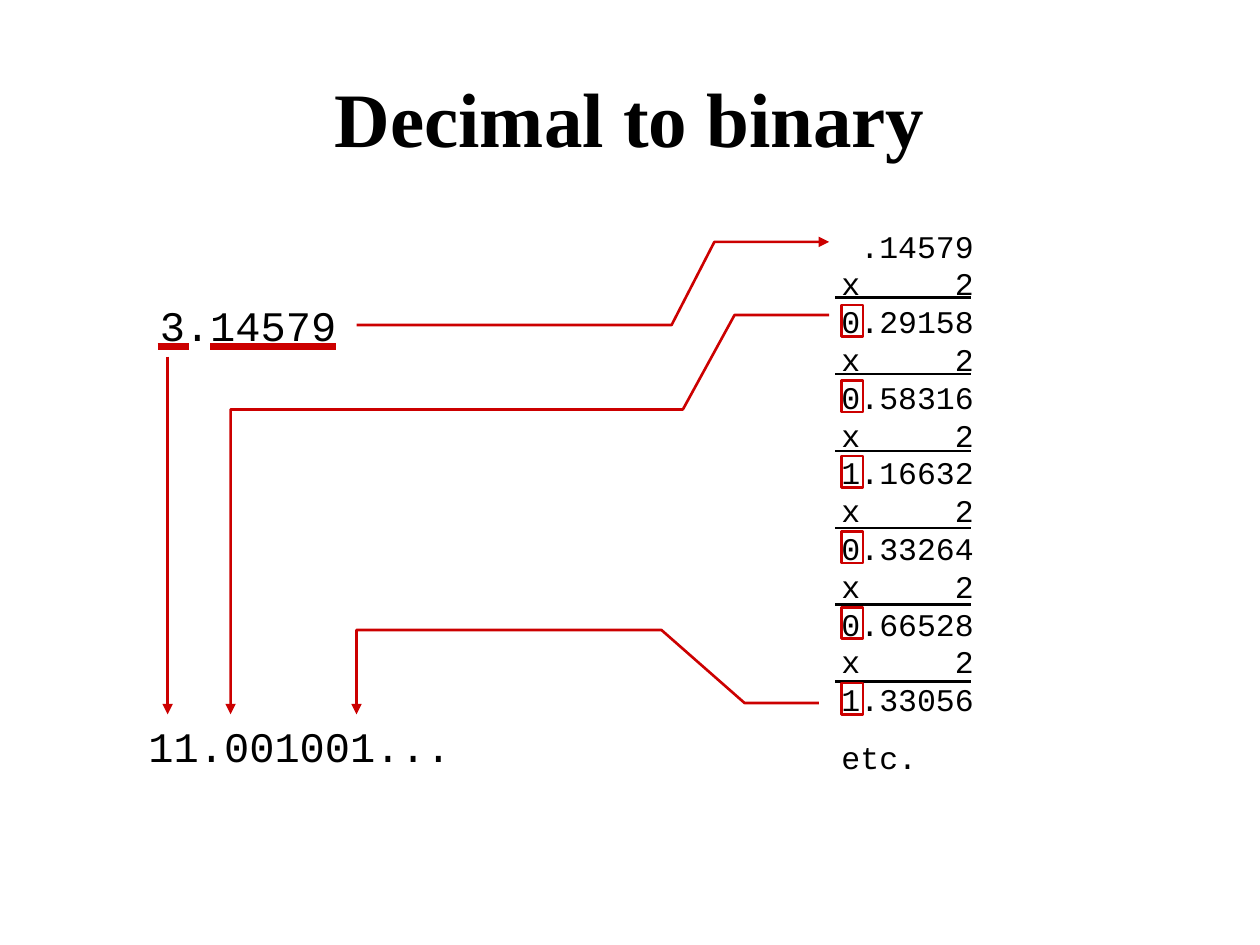
from lxml.etree import SubElement
from pptx import Presentation
from pptx.dml.color import RGBColor
from pptx.enum.shapes import MSO_CONNECTOR, MSO_SHAPE
from pptx.enum.text import MSO_ANCHOR, PP_ALIGN
from pptx.oxml.ns import qn
from pptx.util import Inches, Pt

BLACK = RGBColor(0x00, 0x00, 0x00)
RED = RGBColor(0xCC, 0x00, 0x00)
MONO = "Courier New"

TITLE = "Decimal to binary"
DECIMAL = "3.14579"
BINARY = "11.001001..."
FRACTION = ".14579"
PRODUCTS = ["0.29158", "0.58316", "1.16632", "0.33264", "0.66528", "1.33056"]
ENDING = "etc."

RULE_LEFT, RULE_RIGHT, RULE_TOP, RULE_PITCH = 6.63, 7.71, 2.36, 0.61
DIGIT_LEFT, DIGIT_TOP, DIGIT_PITCH = 6.68, 2.42, 0.6
DIGIT_WIDTH, DIGIT_HEIGHT = 0.17, 0.25
COLUMN_WIDTH = 1.05  # seven characters of 18 pt type

UNDERLINES = [(1.67, 2.67), (1.25, 1.5)]
UNDERLINE_Y = 2.75
ARROW_PATHS = [
    [(2.83, 2.58), (5.33, 2.58), (5.67, 1.92), (6.58, 1.92)],
    [(6.58, 2.5), (5.83, 2.5), (5.42, 3.25), (1.83, 3.25), (1.83, 5.67)],
    [(6.5, 5.58), (5.91, 5.58), (5.25, 5), (2.83, 5), (2.83, 5.67)],
]
WHOLE_PART_ARROW = ((1.33, 2.83), (1.33, 5.67))


def style_font(paragraph, **values):
    for run in paragraph.runs:
        run.font.color.rgb = BLACK
        for name, value in values.items():
            setattr(run.font, name, value)


def style_line(shape, color, width, arrow=False):
    shape.line.color.rgb = color
    shape.line.width = Pt(width)
    if arrow:
        line = shape._element.spPr.find(qn("a:ln"))
        SubElement(line, qn("a:tailEnd"), type="triangle")


def add_text(slide, box, paragraphs, size):
    frame = slide.shapes.add_textbox(*map(Inches, box)).text_frame
    frame.word_wrap = True
    for index, text in enumerate(paragraphs):
        paragraph = frame.add_paragraph() if index else frame.paragraphs[0]
        paragraph.text = text
        if index:
            paragraph.space_before = Pt(11.2)
        style_font(paragraph, name=MONO, size=Pt(size))
    return frame


def add_line(slide, start, end, color, width, arrow=False):
    line = slide.shapes.add_connector(
        MSO_CONNECTOR.STRAIGHT, *map(Inches, (*start, *end)))
    style_line(line, color, width, arrow)
    SubElement(line._element.spPr, qn("a:effectLst"))


def add_arrow_path(slide, points):
    start, *rest = [(Inches(x), Inches(y)) for x, y in points]
    builder = slide.shapes.build_freeform(*start)
    builder.add_line_segments(rest, close=False)
    shape = builder.convert_to_shape()
    shape.fill.background()
    shape.shadow.inherit = False
    style_line(shape, RED, 1.5, arrow=True)


def add_digit_frame(slide, top):
    frame = slide.shapes.add_shape(
        MSO_SHAPE.RECTANGLE,
        *map(Inches, (DIGIT_LEFT, top, DIGIT_WIDTH, DIGIT_HEIGHT)))
    frame.fill.background()
    frame.shadow.inherit = False
    style_line(frame, RED, 1.5)


def add_title(slide):
    title = slide.shapes.title
    title.left, title.top, title.width, title.height = map(
        Inches, (0.5, 0.3, 9, 1.25))
    title.text_frame.text = TITLE
    title.text_frame.vertical_anchor = MSO_ANCHOR.MIDDLE
    paragraph = title.text_frame.paragraphs[0]
    paragraph.alignment = PP_ALIGN.CENTER
    style_font(paragraph, name="Times New Roman", size=Pt(44), bold=True)


def add_right_tab(paragraph, position):
    tabs = SubElement(paragraph._p.get_or_add_pPr(), qn("a:tabLst"))
    SubElement(tabs, qn("a:tab"), pos=str(Inches(position)), algn="r")


def main():
    presentation = Presentation()
    presentation.slide_width, presentation.slide_height = Inches(10), Inches(7.5)
    slide = presentation.slides.add_slide(presentation.slide_layouts[5])

    add_title(slide)
    add_text(slide, (1.17, 2.33, 1.63, 0.5), [DECIMAL], 24)
    add_text(slide, (1.08, 5.67, 2.92, 0.5), [BINARY], 24)

    lines = ["\t" + FRACTION]
    for product in PRODUCTS:
        lines += ["x\t2", product]
    working = add_text(slide, (6.58, 1.75, 1.62, 4.46),
                       ["\v".join(lines), ENDING], 18)
    add_right_tab(working.paragraphs[0], COLUMN_WIDTH)

    for step in range(len(PRODUCTS)):
        y = RULE_TOP + step * RULE_PITCH
        add_line(slide, (RULE_LEFT, y), (RULE_RIGHT, y), BLACK, 1.5)
        add_digit_frame(slide, DIGIT_TOP + step * DIGIT_PITCH)
    for left, right in UNDERLINES:
        add_line(slide, (left, UNDERLINE_Y), (right, UNDERLINE_Y), RED, 4.5)

    add_line(slide, *WHOLE_PART_ARROW, RED, 1.5, arrow=True)
    for points in ARROW_PATHS:
        add_arrow_path(slide, points)

    presentation.save("out.pptx")


if __name__ == "__main__":
    main()
